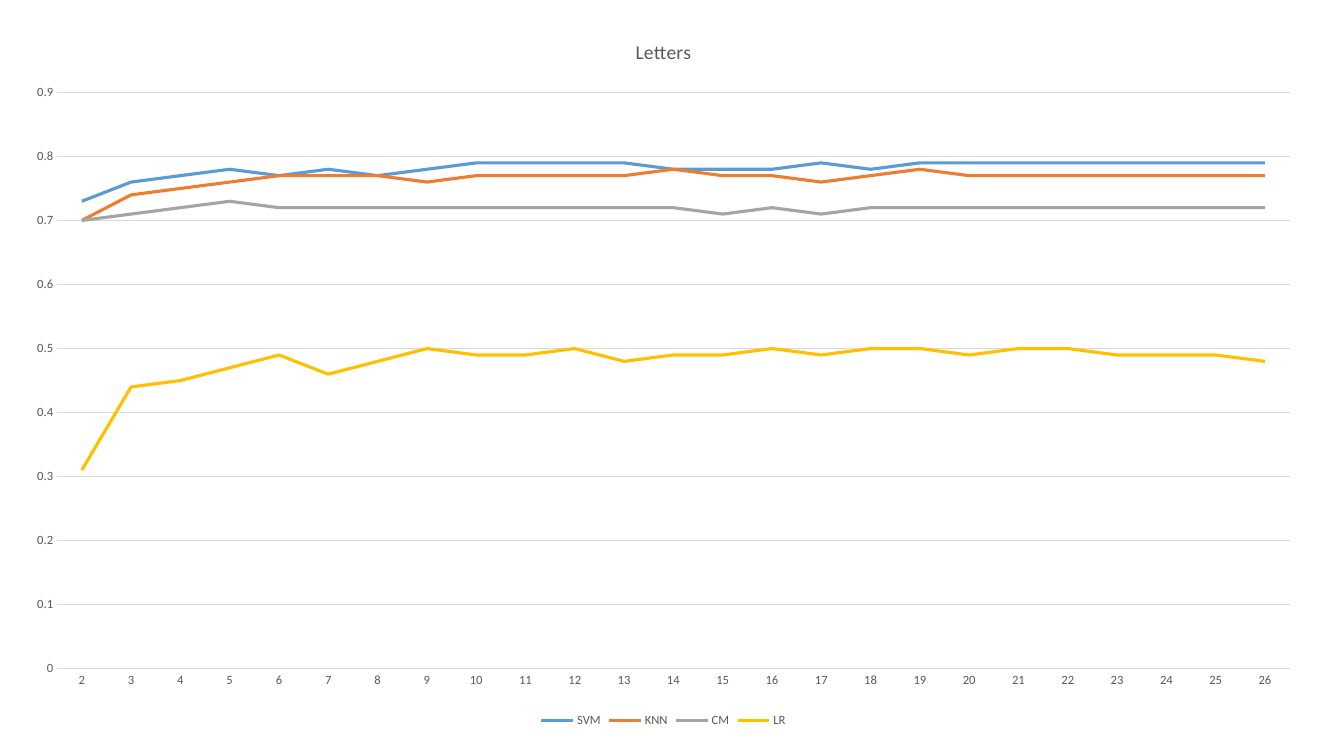
from pptx import Presentation
from pptx.chart.data import CategoryChartData
from pptx.dml.color import RGBColor
from pptx.enum.chart import XL_CHART_TYPE as ChartType
from pptx.enum.chart import XL_LEGEND_POSITION as LegendPosition
from pptx.enum.chart import XL_TICK_MARK as TickMark
from pptx.util import Inches, Pt

FONT = "Calibri"
WHITE = RGBColor(0xFF, 0xFF, 0xFF)
TEXT_GRAY = RGBColor(0x59, 0x59, 0x59)
GRID_GRAY = RGBColor(0xD9, 0xD9, 0xD9)
BLUE = RGBColor(0x5B, 0x9B, 0xD5)
ORANGE = RGBColor(0xED, 0x7D, 0x31)
GRAY = RGBColor(0xA5, 0xA5, 0xA5)
YELLOW = RGBColor(0xFF, 0xC0, 0x00)

LETTER_COUNTS = range(2, 27)
CLASSIFIERS = [
    ("SVM", BLUE, [
        0.73, 0.76, 0.77, 0.78, 0.77, 0.78, 0.77, 0.78, 0.79, 0.79, 0.79, 0.79, 0.78,
        0.78, 0.78, 0.79, 0.78, 0.79, 0.79, 0.79, 0.79, 0.79, 0.79, 0.79, 0.79]),
    ("KNN", ORANGE, [
        0.7, 0.74, 0.75, 0.76, 0.77, 0.77, 0.77, 0.76, 0.77, 0.77, 0.77, 0.77, 0.78,
        0.77, 0.77, 0.76, 0.77, 0.78, 0.77, 0.77, 0.77, 0.77, 0.77, 0.77, 0.77]),
    ("CM", GRAY, [
        0.7, 0.71, 0.72, 0.73, 0.72, 0.72, 0.72, 0.72, 0.72, 0.72, 0.72, 0.72, 0.72,
        0.71, 0.72, 0.71, 0.72, 0.72, 0.72, 0.72, 0.72, 0.72, 0.72, 0.72, 0.72]),
    ("LR", YELLOW, [
        0.31, 0.44, 0.45, 0.47, 0.49, 0.46, 0.48, 0.5, 0.49, 0.49, 0.5, 0.48, 0.49,
        0.49, 0.5, 0.49, 0.5, 0.5, 0.49, 0.5, 0.5, 0.49, 0.49, 0.49, 0.48]),
]


def style_font(font, size):
    font.name = FONT
    font.size = Pt(size)
    font.bold = False
    font.color.rgb = TEXT_GRAY


def style_line(line, color, width):
    line.color.rgb = color
    line.width = Pt(width)


def add_accuracy_chart(slide):
    accuracy = CategoryChartData()
    accuracy.categories = [str(count) for count in LETTER_COUNTS]
    for name, _, values in CLASSIFIERS:
        accuracy.add_series(name, values)
    chart = slide.shapes.add_chart(
        ChartType.LINE, Inches(0.11), Inches(0.15), Inches(12.94), Inches(7.11), accuracy
    ).chart
    chart.font.name = FONT
    chart.font.size = Pt(10)
    chart.plots[0].vary_by_categories = False
    for series, (_, color, _) in zip(chart.plots[0].series, CLASSIFIERS):
        series.smooth = False
        style_line(series.format.line, color, 2.25)
    return chart


def add_title(chart, text):
    chart.has_title = True
    run = chart.chart_title.text_frame.paragraphs[0].add_run()
    run.text = text
    style_font(run.font, 14)
    chart.chart_title.include_in_layout = False


def add_legend(chart):
    chart.has_legend = True
    chart.legend.position = LegendPosition.BOTTOM
    chart.legend.include_in_layout = False
    style_font(chart.legend.font, 9)


def style_axes(chart):
    for axis in (chart.category_axis, chart.value_axis):
        axis.major_tick_mark = TickMark.NONE
        axis.minor_tick_mark = TickMark.NONE
        style_font(axis.tick_labels.font, 9)
    style_line(chart.category_axis.format.line, GRID_GRAY, 0.75)

    scores = chart.value_axis
    scores.minimum_scale = 0
    scores.maximum_scale = 0.9
    scores.major_unit = 0.1
    scores.tick_labels.number_format = "General"
    scores.tick_labels.number_format_is_linked = False
    scores.format.line.fill.background()
    scores.has_major_gridlines = True
    style_line(scores.major_gridlines.format.line, GRID_GRAY, 0.75)


def main():
    deck = Presentation()
    deck.slide_width = Inches(13.33)
    deck.slide_height = Inches(7.5)
    slide = deck.slides.add_slide(deck.slide_layouts[6])
    slide.background.fill.solid()
    slide.background.fill.fore_color.rgb = WHITE

    chart = add_accuracy_chart(slide)
    add_title(chart, "Letters")
    add_legend(chart)
    style_axes(chart)
    deck.save("out.pptx")


if __name__ == "__main__":
    main()
